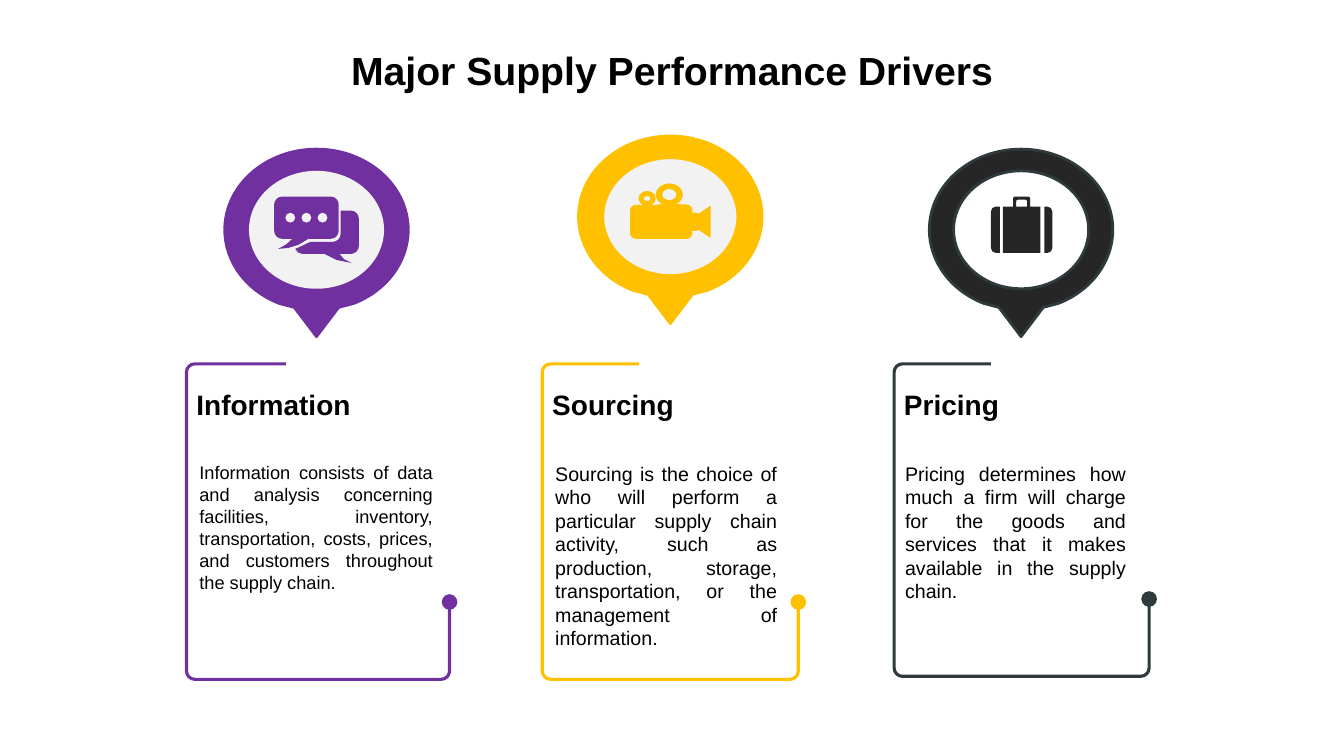
from dataclasses import dataclass
from math import cos, hypot, radians, sin, tan

from lxml import etree
from pptx import Presentation
from pptx.dml.color import RGBColor
from pptx.enum.shapes import MSO_SHAPE
from pptx.enum.text import MSO_ANCHOR, PP_ALIGN
from pptx.oxml.ns import qn
from pptx.util import Inches, Pt

ELLIPSE = MSO_SHAPE.OVAL
TOP, MIDDLE = MSO_ANCHOR.TOP, MSO_ANCHOR.MIDDLE
LEFT, CENTER, JUSTIFY = PP_ALIGN.LEFT, PP_ALIGN.CENTER, PP_ALIGN.JUSTIFY
COLS, ROWS = 160, 90


@dataclass(frozen=True)
class Theme:
    font: str = "Arial"
    text: str = "000000"
    purple: str = "7030A0"
    gold: str = "FFC000"
    black: str = "262626"
    slate: str = "2E3A3C"
    pale: str = "F2F2F2"
    white: str = "FFFFFF"
    title: int = 28
    heading: int = 20
    body: int = 14
    small: int = 13
    bracket: float = 2.25
    outline: float = 2


def arc(cx, cy, rx, ry, start=0, end=360):
    stops = [start] + [a for a in range(0, 541, 90) if start < a < end] + [end]
    units = [(cos(radians(stops[0])), sin(radians(stops[0])), False)]
    for first, last in zip(stops, stops[1:]):
        a, b = radians(first), radians(last)
        k = 4 / 3 * tan((b - a) / 4)
        units += [(cos(a) - k * sin(a), sin(a) + k * cos(a), True),
                  (cos(b) + k * sin(b), sin(b) - k * cos(b), True),
                  (cos(b), sin(b), True)]
    return [(cx + rx * u, cy + ry * v, 0, curved) for u, v, curved in units]


def toward(a, b, dist):
    share = dist / hypot(b[0] - a[0], b[1] - a[1])
    return a[0] + (b[0] - a[0]) * share, a[1] + (b[1] - a[1]) * share


def rounded(corners):
    nodes = []
    for i, corner in enumerate(corners):
        x, y, radius, curved = (*corner, 0, False)[:4] if len(corner) == 2 else (*corner, False)[:4]
        if not radius:
            nodes.append((x, y, curved))
            continue
        before, after = corners[i - 1], corners[(i + 1) % len(corners)]
        nodes.append((*toward((x, y), before, radius), False))
        nodes.append((*toward((x, y), before, radius * 0.45), True))
        nodes.append((*toward((x, y), after, radius * 0.45), True))
        nodes.append((*toward((x, y), after, radius), True))
    return nodes


class Deck:
    def __init__(self, theme):
        self.theme = theme
        self.prs = Presentation()
        self.prs.slide_width, self.prs.slide_height = Inches(13.33), Inches(7.5)
        self.slide = self.prs.slides.add_slide(self.prs.slide_layouts[6])

    def x(self, cols):
        return round(self.prs.slide_width * cols / COLS)

    def y(self, rows):
        return round(self.prs.slide_height * rows / ROWS)

    def paint(self, sp, fill=None, line=None, weight=0):
        sp.shadow.inherit = False
        if fill:
            sp.fill.solid()
            sp.fill.fore_color.rgb = RGBColor.from_string(fill)
        else:
            sp.fill.background()
        if line:
            sp.line.color.rgb = RGBColor.from_string(line)
            sp.line.width = Pt(weight)
        else:
            sp.line.fill.background()

    def text(self, col, row, width, height, words, size, bold=False, align=LEFT, anchor=TOP):
        sp = self.slide.shapes.add_textbox(self.x(col), self.y(row), self.x(width), self.y(height))
        tf = sp.text_frame
        tf.word_wrap = True
        tf.vertical_anchor = anchor
        p = tf.paragraphs[0]
        p.text = words
        p.alignment = align
        p.font.name, p.font.size, p.font.bold = self.theme.font, Pt(size), bold
        p.font.color.rgb = RGBColor.from_string(self.theme.text)

    def outline(self, contours, close=True):
        paths = [[(self.x(c), self.y(r)) for c, r, _ in contour] for contour in contours]
        builder = self.slide.shapes.build_freeform(*paths[0][0])
        for i, path in enumerate(paths):
            if i:
                builder.move_to(*path[0])
            builder.add_line_segments(path[1:], close=close)
        sp = builder.convert_to_shape()
        segments = list(sp._element.iter(qn("a:lnTo")))
        flags = [curved for contour in contours for _, _, curved in contour[1:]]
        curves = [segment for segment, curved in zip(segments, flags) if curved]
        for trio in zip(curves[::3], curves[1::3], curves[2::3]):
            bezier = etree.Element(qn("a:cubicBezTo"))
            trio[0].addprevious(bezier)
            for segment in trio:
                bezier.append(segment[0])
                segment.getparent().remove(segment)
        return sp

    def bracket(self, left, top, right, bottom, lead, color):
        corners = [(right, bottom - 9.2), (right, bottom, 1), (left, bottom, 1),
                   (left, top, 1), (left + lead, top)]
        sp = self.outline([rounded(corners)], close=False)
        self.paint(sp, line=color, weight=self.theme.bracket)
        ln = sp.line._get_or_add_ln()
        etree.SubElement(ln, qn("a:headEnd"), type="oval", w="lg", len="lg")

    def pin(self, cx, cy, fill, line, plate, plate_line):
        ring = arc(cx, cy, 10.92, 9.6, 114, 426)
        tail = [(cx + 2.64, cy + 9.24), (cx, cy + 12.72), (cx - 2.64, cy + 9.24)]
        sp = self.outline([rounded(arc(cx, cy, 7.92, 6.96)), rounded(ring + tail)])
        self.paint(sp, fill, line, self.theme.outline)
        rx, ry = 8.04, 7.02
        sp = self.slide.shapes.add_shape(ELLIPSE, self.x(cx - rx), self.y(cy - ry),
                                         self.x(2 * rx), self.y(2 * ry))
        self.paint(sp, plate, plate_line, self.theme.outline)

    def icon(self, col, row, contours, color, unit=0.12):
        placed = [[(col + x * unit, row + y * unit, curved) for x, y, curved in rounded(c)]
                  for c in contours]
        self.paint(self.outline(placed), color)


BUBBLES = [arc(x, 21, 5, 5) for x in (16, 32, 48)] + [
    [(66, 14), (84, 14, 8), (84, 57, 8), (65, 57), (69, 62), (77, 66), (62, 63), (50, 57),
     (23, 57, 5), (21, 52), (36, 45), (66, 45, 8)],
    [(0, 0, 8), (64, 0, 8), (64, 42, 8), (34, 42), (24, 48), (14, 51), (4, 52),
     (12, 47.5), (18, 42), (0, 42, 8)],
]
CAMERA = [
    arc(17, 15, 3.5, 2.5),
    arc(39, 11, 7, 5.5),
    [(0, 21, 6)] + arc(17, 15, 8.5, 7.5, 120, 420) + arc(39, 11, 13.5, 11, 120, 420)
    + [(62, 21, 6), (62, 29), (66, 29), (68, 30), (80, 22), (80, 54), (68, 46), (66, 47),
       (62, 47), (62, 55, 6), (0, 55, 6)],
]
SUITCASE = [
    [(53, 10), (61, 10, 5), (61, 56, 5), (53, 56)],
    [(0, 10, 5), (9, 10), (9, 56), (0, 56, 5)],
    [(12, 10), (22, 10), (22, 0, 2), (39, 0, 2), (39, 10), (49, 10), (49, 56), (12, 56)],
    [(25, 10), (25, 3, 2), (36, 3, 2), (36, 10)],
]


def main():
    theme = Theme()
    deck = Deck(theme)
    deck.text(0, 0, COLS, 16.68, "Major Supply Performance Drivers", theme.title, True,
              CENTER, MIDDLE)
    drivers = [
        dict(name="Information", size=theme.small, body_box=(22.56, 54.36, 30.12, 16.92),
             body="Information consists of data and analysis concerning facilities, inventory, "
                  "transportation, costs, prices, and customers throughout the supply chain.",
             bracket=(22.2, 43.32, 53.52, 80.88, 11.88, theme.purple),
             pin=(37.68, 27.36, theme.purple, theme.purple, theme.pale, None),
             icon=(32.64, 23.4, BUBBLES, theme.purple)),
        dict(name="Sourcing", size=theme.body, body_box=(64.92, 54.36, 28.8, 23.88),
             body="Sourcing is the choice of who will perform a particular supply chain activity, "
                  "such as production, storage, transportation, or the management of information.",
             bracket=(64.56, 43.32, 95.04, 80.88, 11.52, theme.gold),
             pin=(79.8, 25.8, theme.gold, theme.gold, theme.pale, theme.gold),
             icon=(75, 21.84, CAMERA, theme.gold)),
        dict(name="Pricing", size=theme.body, body_box=(106.56, 54.36, 28.68, 18.12),
             body="Pricing determines how much a firm will charge for the goods and services "
                  "that it makes available in the supply chain.",
             bracket=(106.44, 43.32, 136.8, 80.52, 11.52, theme.slate),
             pin=(121.56, 27.36, theme.black, theme.slate, theme.white, theme.slate),
             icon=(117.96, 23.4, SUITCASE, theme.black)),
    ]
    for driver in drivers:
        deck.bracket(*driver["bracket"])
        deck.text(driver["bracket"][0], 45.48, 30, 5.28, driver["name"], theme.heading, True,
                  anchor=MIDDLE)
        deck.text(*driver["body_box"], driver["body"], driver["size"], align=JUSTIFY)
        deck.pin(*driver["pin"])
        deck.icon(*driver["icon"])
    deck.prs.save("out.pptx")


if __name__ == "__main__":
    main()
